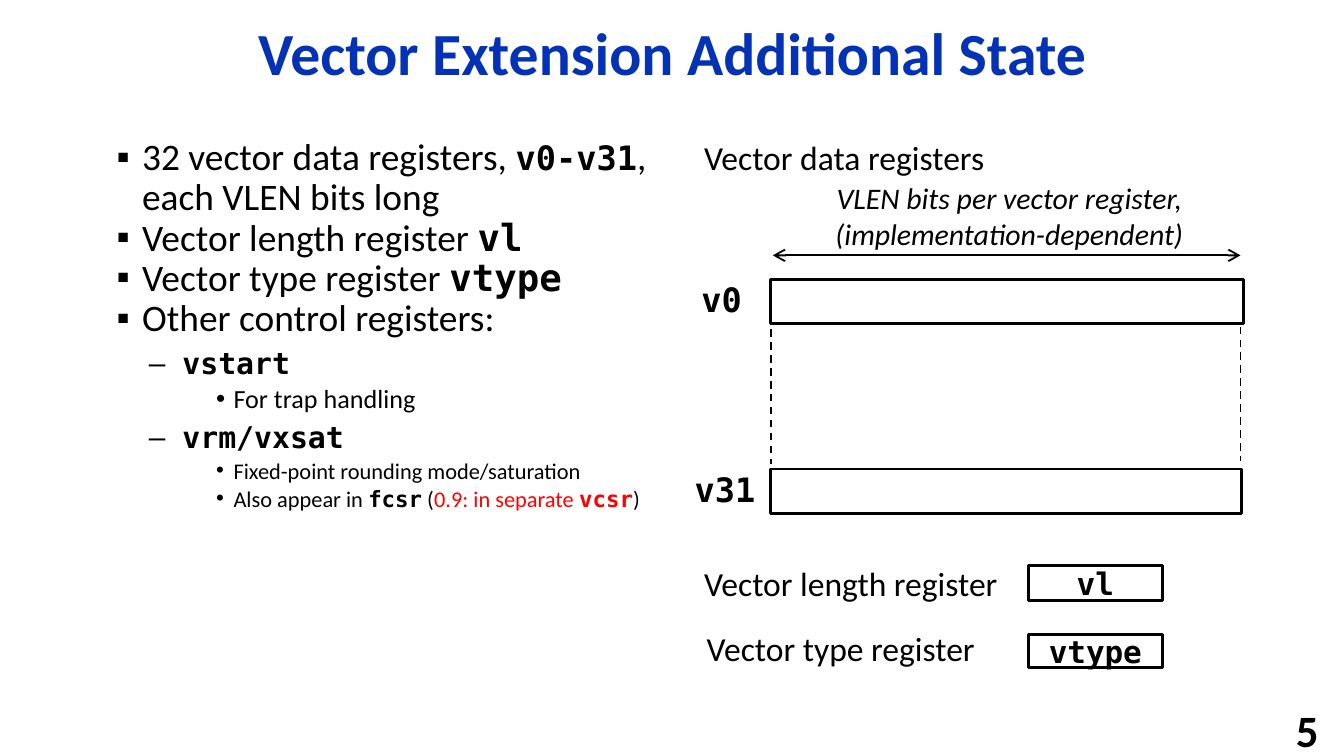
from lxml import etree
from pptx import Presentation
from pptx.dml.color import RGBColor
from pptx.enum.dml import MSO_LINE
from pptx.enum.shapes import MSO_CONNECTOR, MSO_SHAPE
from pptx.enum.text import MSO_ANCHOR, PP_ALIGN
from pptx.oxml.ns import qn
from pptx.util import Inches, Pt

LEFT, CENTER, RIGHT = PP_ALIGN.LEFT, PP_ALIGN.CENTER, PP_ALIGN.RIGHT
TOP, MIDDLE = MSO_ANCHOR.TOP, MSO_ANCHOR.MIDDLE
RECT, STRAIGHT, DASH = MSO_SHAPE.RECTANGLE, MSO_CONNECTOR.STRAIGHT, MSO_LINE.DASH
COLORS = {"title": "0332B7", "text": "000000", "note": "FF0000", "paper": "FFFFFF"}
SANS, MONO = "Calibri", "DejaVu Sans Mono"

# level: bullet, left margin, hanging indent, line spacing, space before as a share of size
LEVELS = [
    ("▪", 0.2, -0.19, 0.9, 0),
    ("–", 0.5, -0.25, 0.9, 0.3),
    ("•", 0.88, -0.13, 0.8, 0.3),
]


def color(name):
    """Look up a palette colour."""
    return RGBColor.from_string(COLORS[name])


def run(text, size, name="text", **style):
    """Describe a run in the sans font."""
    return dict(text=text, size=size, name=name, font=SANS, **style)


def code(text, size, name="text"):
    """Describe a bold run in the monospaced font."""
    return dict(text=text, size=size, name=name, font=MONO, bold=True)


class Slide:
    """The current slide and its drawing style."""

    def __init__(self, prs):
        self.shapes = prs.slides.add_slide(prs.slide_layouts[6]).shapes

    def add_runs(self, p, runs):
        """Add described runs to a paragraph."""
        for item in runs:
            r = p.add_run()
            r.text = item["text"]
            r.font.name, r.font.size = item["font"], Pt(item["size"])
            r.font.bold = item.get("bold", False)
            r.font.italic = item.get("italic", False)
            r.font.color.rgb = color(item["name"])

    def text(self, box, runs, align=LEFT, anchor=TOP, wrap=False, spacing=None):
        """Add a text box with one paragraph."""
        tf = self.shapes.add_textbox(*map(Inches, box)).text_frame
        tf.word_wrap, tf.vertical_anchor = wrap, anchor
        p = tf.paragraphs[0]
        p.alignment, p.line_spacing = align, spacing
        self.add_runs(p, runs)

    def bullets(self, box, items):
        """Add a bulleted list of (level, runs) items."""
        tf = self.shapes.add_textbox(*map(Inches, box)).text_frame
        tf.word_wrap = True
        for i, (level, runs) in enumerate(items):
            p = tf.add_paragraph() if i else tf.paragraphs[0]
            char, margin, indent, spacing, before = LEVELS[level]
            p.level, p.line_spacing = level, spacing
            p.space_before = Pt(before * runs[0]["size"])
            pPr = p._p.get_or_add_pPr()
            pPr.set("marL", str(Inches(margin)))
            pPr.set("indent", str(Inches(indent)))
            etree.SubElement(pPr, qn("a:buFont")).set("typeface", "Arial")
            etree.SubElement(pPr, qn("a:buChar")).set("char", char)
            self.add_runs(p, runs)

    def register(self, box, runs=()):
        """Add an outlined register box."""
        sp = self.shapes.add_shape(RECT, *map(Inches, box))
        sp.shadow.inherit = False
        sp.fill.solid()
        sp.fill.fore_color.rgb = color("paper")
        sp.line.color.rgb, sp.line.width = color("text"), Pt(1.5)
        tf = sp.text_frame
        tf.margin_left = tf.margin_right = tf.margin_top = tf.margin_bottom = 0
        tf.vertical_anchor = MIDDLE
        tf.paragraphs[0].alignment = CENTER
        self.add_runs(tf.paragraphs[0], runs)

    def line(self, x1, y1, x2, y2, dash=None, arrows=False):
        """Add a thin line, dashed or with an arrow at both ends."""
        cn = self.shapes.add_connector(STRAIGHT, *map(Inches, (x1, y1, x2, y2)))
        cn.line.color.rgb, cn.line.width = color("text"), Pt(1)
        if dash:
            cn.line.dash_style = dash
        spPr = cn._element.spPr
        if arrows:
            for end in ("a:headEnd", "a:tailEnd"):
                etree.SubElement(spPr.get_or_add_ln(), qn(end)).set("type", "arrow")
        etree.SubElement(spPr, qn("a:effectLst"))


prs = Presentation()
prs.slide_width, prs.slide_height = Inches(10), Inches(10 * 9 / 16)
s = Slide(prs)

s.text((0.67, 0.12, 8.67, 0.6),
       [run("Vector Extension Additional State", 32, "title", bold=True)],
       CENTER, MIDDLE, wrap=True, spacing=0.9)

s.bullets((0.76, 0.98, 4.24, 4.04), [
    (0, [run("32 vector data registers, ", 20), code("v0-v31", 18),
         run(", each VLEN bits long", 20)]),
    (0, [run("Vector length register ", 20), code("vl", 20)]),
    (0, [run("Vector type register ", 20), code("vtype", 20)]),
    (0, [run("Other control registers:", 20)]),
    (1, [code("vstart", 16)]),
    (2, [run("For trap handling", 14)]),
    (1, [code("vrm/vxsat", 16)]),
    (2, [run("Fixed-point rounding mode/saturation", 12)]),
    (2, [run("Also appear in ", 12), code("fcsr", 12), run(" (", 12),
         run("0.9: in separate ", 12, "note"), code("vcsr", 12, "note"), run(")", 12)]),
])

# Vector data registers
for label, left, top, width, length in (("v0", 5.12, 2.08, 0.5, 3.52),
                                        ("v31", 5.07, 3.49, 0.65, 3.51)):
    s.register((5.73, top, length, 0.33))
    s.text((left, top - 0.05, width, 0.4), [code(label, 18)])
for x, y in ((5.74, 2.45), (9.23, 2.43)):
    s.line(x, y, x, y + 1, dash=DASH)
s.line(5.75, 1.9, 9.23, 1.9, arrows=True)
s.text((5.62, 1.29, 3.78, 0.64),
       [run("VLEN bits per vector register, (implementation-dependent)", 16, italic=True)],
       CENTER, wrap=True)

# Control registers and captions
for name, top, height in (("vl", 4.21, 0.26), ("vtype", 4.72, 0.25)):
    s.register((7.65, top, 1, height), [code(name, 16.6)])
for kind, left, top, width in (("data registers", 5.14, 0.97, 2.35),
                               ("length register", 5.14, 4.14, 2.44),
                               ("type register", 5.16, 4.62, 2.22)):
    s.text((left, top, width, 0.4), [run("Vector " + kind, 18)])

s.text((7.83, 5.31, 2.08, 0.24), [run("5", 24, bold=True)], RIGHT, MIDDLE)

prs.save("out.pptx")
